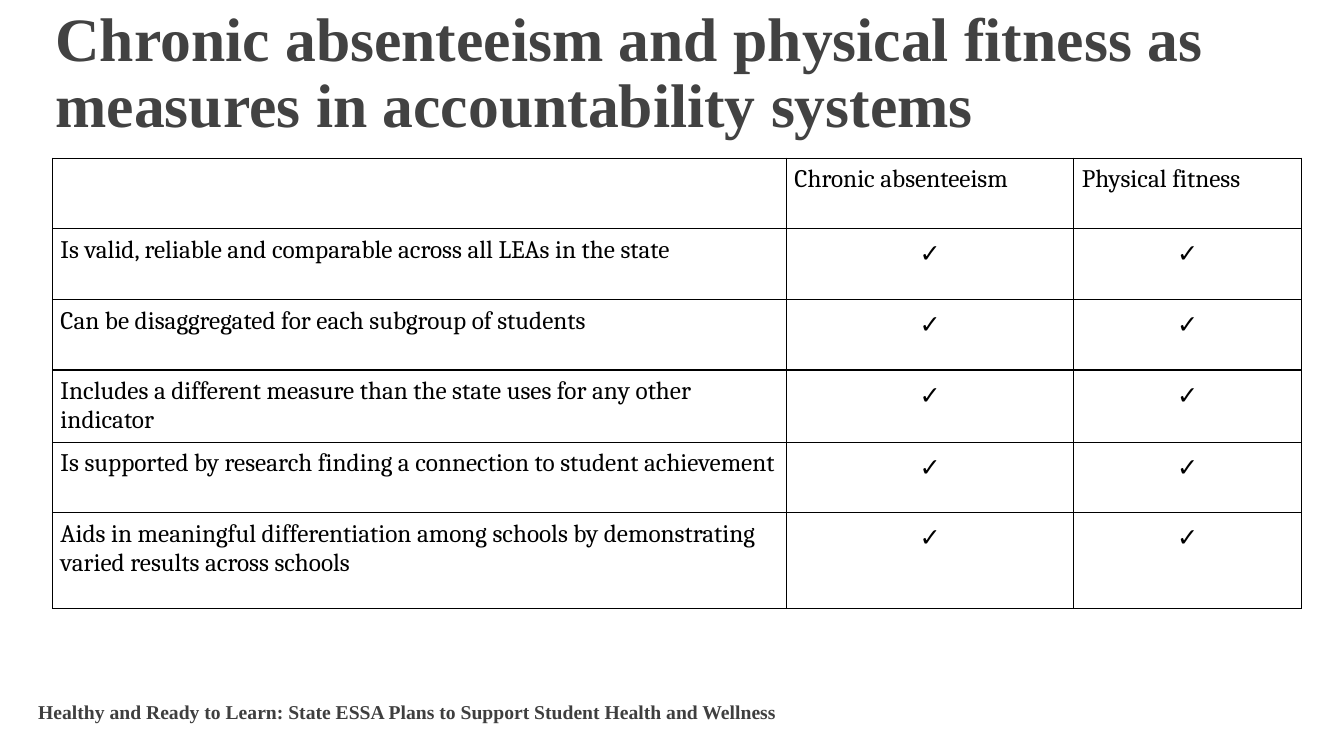
from dataclasses import dataclass

from lxml import etree
from pptx import Presentation
from pptx import util as u
from pptx.dml.color import RGBColor
from pptx.enum import shapes, text
from pptx.oxml import ns

PX = 9144  # EMU in one px, 100 px to the inch


@dataclass(frozen=True)
class Theme:
    serif: str = "Times New Roman"
    body: str = "Cambria"
    symbol: str = "Arial"
    title_color: str = "424242"
    footer_color: str = "3F3F3F"
    ink: str = "000000"
    paper: str = "FFFFFF"
    title_size: int = 44
    body_size: int = 18
    footer_size: int = 14
    border: int = 1


THEME = Theme()
TITLE = "Chronic absenteeism and physical fitness as measures in accountability systems"
FOOTER = "Healthy and Ready to Learn: State ESSA Plans to Support Student Health and Wellness"
MEASURES = ["Chronic absenteeism", "Physical fitness"]
CRITERIA = [
    "Is valid, reliable and comparable across all LEAs in the state",
    "Can be disaggregated for each subgroup of students",
    "Includes a different measure than the state uses for any other indicator",
    "Is supported by research finding a connection to student achievement",
    "Aids in meaningful differentiation among schools by demonstrating varied results across schools",
]
CHECK = "✓"
COLUMN_WIDTHS = [728, 285, 226]
ROW_HEIGHTS = [70] * len(CRITERIA) + [95]


def emu(box):
    return [length * PX for length in box]


def set_margins(target, across, down):
    target.margin_left = target.margin_right = across * PX
    target.margin_top = target.margin_bottom = down * PX


def style_runs(para, font_name, size, color, bold=False):
    for span in para.runs:
        span.font.name = font_name
        span.font.size = u.Pt(size)
        span.font.bold = bold
        span.font.color.rgb = RGBColor.from_string(color)


def add_footer(page, box):
    footer = page.shapes.add_shape(shapes.MSO_SHAPE.RECTANGLE, *emu(box))
    footer.shadow.inherit = False
    footer.fill.solid()
    footer.fill.fore_color.rgb = RGBColor.from_string(THEME.paper)
    footer.line.fill.background()
    frame = footer.text_frame
    frame.text = FOOTER
    frame.word_wrap = True
    frame.vertical_anchor = text.MSO_ANCHOR.MIDDLE
    set_margins(frame, 10, 5)
    para = frame.paragraphs[0]
    para.alignment = text.PP_ALIGN.LEFT
    style_runs(para, THEME.serif, THEME.footer_size, THEME.footer_color, bold=True)


def place_title(page, box):
    title = page.shapes.title
    title.left, title.top, title.width, title.height = emu(box)
    frame = title.text_frame
    frame.text = TITLE
    frame.word_wrap = True
    frame.auto_size = text.MSO_AUTO_SIZE.NONE
    frame.vertical_anchor = text.MSO_ANCHOR.MIDDLE
    set_margins(frame, 10, 10)
    para = frame.paragraphs[0]
    para.alignment = text.PP_ALIGN.LEFT
    para.line_spacing = 0.9
    style_runs(para, THEME.serif, THEME.title_size, THEME.title_color, bold=True)


def add_borders(cell):
    properties = cell._tc.get_or_add_tcPr()
    for position, side in enumerate(("a:lnL", "a:lnR", "a:lnT", "a:lnB")):
        line = etree.Element(ns.qn(side), w=str(u.Pt(THEME.border)))
        fill = etree.SubElement(line, ns.qn("a:solidFill"))
        etree.SubElement(fill, ns.qn("a:srgbClr"), val=THEME.ink)
        properties.insert(position, line)


def fill_cell(cell, wording):
    cell.fill.background()
    set_margins(cell, 8, 7)
    add_borders(cell)
    cell.text_frame.text = wording
    para = cell.text_frame.paragraphs[0]
    para.font.size = u.Pt(THEME.body_size)
    is_check = wording == CHECK
    if is_check:
        para.alignment = text.PP_ALIGN.CENTER
        para.line_spacing = 1.15
    style_runs(para, THEME.symbol if is_check else THEME.body, THEME.body_size, THEME.ink)


def add_criteria_table(page, left, top):
    rows = [["", *MEASURES]] + [[name] + [CHECK] * len(MEASURES) for name in CRITERIA]
    box = (left, top, sum(COLUMN_WIDTHS), sum(ROW_HEIGHTS))
    table = page.shapes.add_table(len(rows), len(COLUMN_WIDTHS), *emu(box)).table
    table.first_row = table.horz_banding = False
    for column, width in zip(table.columns, COLUMN_WIDTHS):
        column.width = width * PX
    for row, height, wordings in zip(table.rows, ROW_HEIGHTS, rows):
        row.height = height * PX
        for cell, wording in zip(row.cells, wordings):
            fill_cell(cell, wording)


def main():
    deck = Presentation()
    deck.slide_width, deck.slide_height = emu((1333, 750))
    page = deck.slides.add_slide(deck.slide_layouts[5])
    add_footer(page, (28, 689, 797, 34))
    place_title(page, (45, 0, 1242, 148))
    add_criteria_table(page, 52, 157)
    deck.save("out.pptx")


if __name__ == "__main__":
    main()
